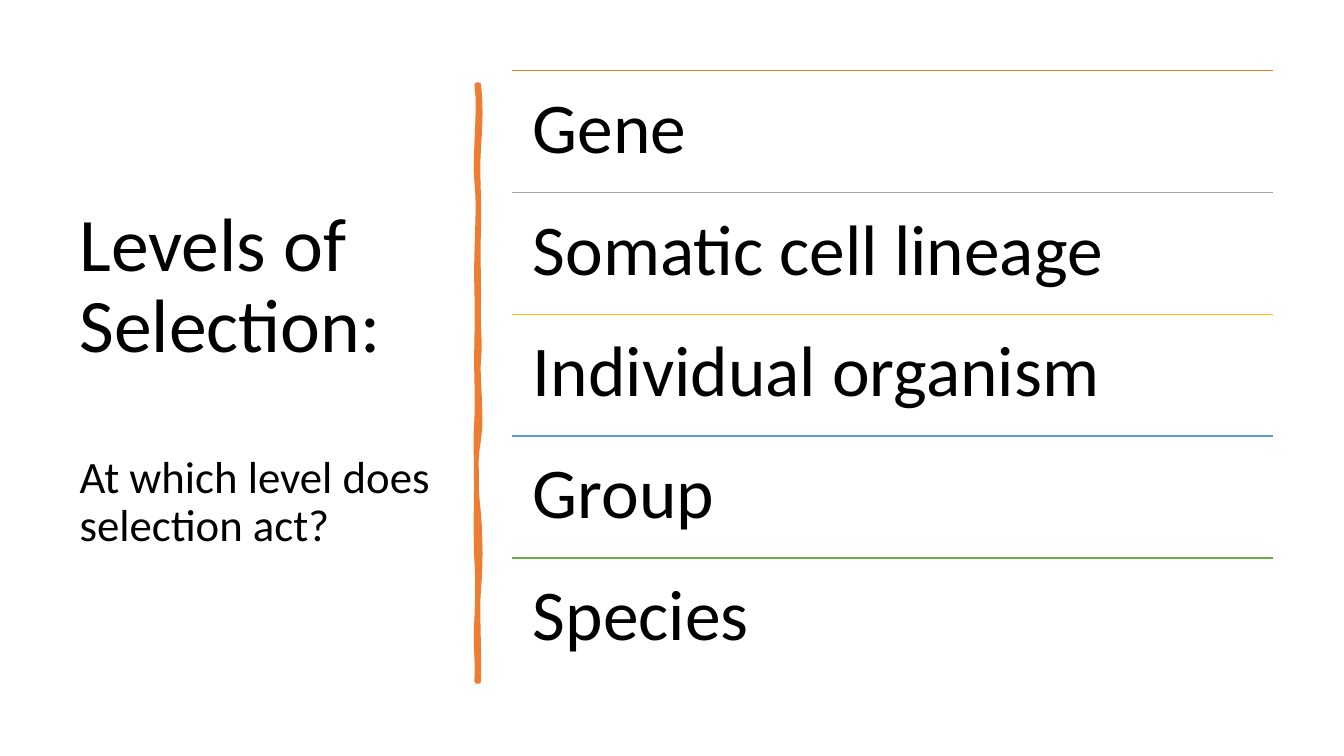
from pptx import Presentation
from pptx.dml.color import RGBColor
from pptx.enum import shapes, text
from pptx.oxml.ns import qn
from pptx.util import Cm, Pt
from lxml import etree

FONT, BLACK, ORANGE = "Calibri", "000000", "ED7D31"
TITLE = [("Levels of Selection:", 54), ("At which level does selection act?", 32)]
LEVELS = [
    ("Gene", ORANGE),
    ("Somatic cell lineage", "A5A5A5"),
    ("Individual organism", "FFC000"),
    ("Group", "5B9BD5"),
    ("Species", "70AD47"),
]

# Hand-drawn bar: start point, then cubic curves (two controls and an end),
# in hundredths of an inch.
UNIT = 0.0254
START = (475, 84)
CURVES = [
    (477, 102, 477, 119, 475, 146), (473, 173, 476, 195, 475, 226),
    (474, 257, 475, 262, 475, 294), (474, 325, 477, 342, 475, 356),
    (473, 370, 479, 414, 475, 436), (471, 457, 472, 484, 475, 510),
    (477, 536, 477, 564, 475, 584), (473, 603, 476, 650, 475, 676),
    (474, 676, 473, 676, 473, 676), (474, 646, 471, 644, 473, 613),
    (474, 583, 474, 570, 473, 557), (472, 544, 472, 495, 473, 477),
    (473, 459, 471, 445, 473, 415), (474, 386, 472, 373, 473, 335),
    (474, 298, 472, 281, 473, 250), (474, 218, 475, 200, 473, 181),
    (470, 163, 477, 104, 473, 84),
]
STEPS = 6

LEFT, TOP, WIDTH, PITCH = 12.9, 1.78, 19.18, 3.07
INSET = Cm(0.53)


def color(code):
    return RGBColor.from_string(code)


def style(para, size):
    para.alignment = text.PP_ALIGN.LEFT
    para.line_spacing = 0.9
    for run in para.runs:
        run.font.name = FONT
        run.font.size = Pt(size)
        run.font.color.rgb = color(BLACK)


def trace(start, curves):
    """Return points along a chain of cubic curves."""
    points = [start]
    for ax, ay, bx, by, ex, ey in curves:
        sx, sy = points[-1]
        for step in range(1, STEPS + 1):
            t = step / STEPS
            k = ((1 - t) ** 3, 3 * t * (1 - t) ** 2, 3 * t * t * (1 - t), t ** 3)
            points.append((
                sum(w * x for w, x in zip(k, (sx, ax, bx, ex))),
                sum(w * y for w, y in zip(k, (sy, ay, by, ey))),
            ))
    return points


def add_title(slide):
    title = slide.shapes.title
    title.left, title.top = Cm(1.75), Cm(TOP)
    title.width, title.height = Cm(9.5), Cm(15.52)
    frame = title.text_frame
    frame.text = "\n".join(line for line, _ in TITLE)
    frame.word_wrap = True
    frame.auto_size = text.MSO_AUTO_SIZE.NONE
    frame.vertical_anchor = text.MSO_ANCHOR.MIDDLE
    for para, (_, size) in zip(frame.paragraphs, TITLE):
        style(para, size)
    frame.paragraphs[1].space_before = Pt(61)


def add_bar(slide):
    points = [(Cm(x * UNIT), Cm(y * UNIT)) for x, y in trace(START, CURVES)]
    pen = slide.shapes.build_freeform(*points[0])
    pen.add_line_segments(points[1:], close=True)
    bar = pen.convert_to_shape()
    bar.shadow.inherit = False
    bar.fill.solid()
    bar.fill.fore_color.rgb = color(ORANGE)
    bar.line.color.rgb = color(ORANGE)
    bar.line.width = Pt(3.25)


def add_level(slide, top, label, code):
    rule = slide.shapes.add_connector(
        shapes.MSO_CONNECTOR.STRAIGHT, Cm(LEFT), Cm(top), Cm(LEFT + WIDTH), Cm(top))
    rule.line.color.rgb = color(code)
    rule.line.width = Pt(1)
    etree.SubElement(rule._element.spPr, qn("a:effectLst"))

    box = slide.shapes.add_textbox(Cm(LEFT), Cm(top), Cm(WIDTH), Cm(PITCH))
    frame = box.text_frame
    frame.word_wrap = True
    frame.margin_left = frame.margin_right = INSET
    frame.margin_top = frame.margin_bottom = INSET
    frame.text = label
    style(frame.paragraphs[0], 51)


def main():
    deck = Presentation()
    deck.slide_width, deck.slide_height = Cm(33.87), Cm(19.05)
    slide = deck.slides.add_slide(deck.slide_layouts[5])
    add_title(slide)
    add_bar(slide)
    for row, (label, code) in enumerate(LEVELS):
        add_level(slide, TOP + row * PITCH, label, code)
    deck.save("out.pptx")


if __name__ == "__main__":
    main()
